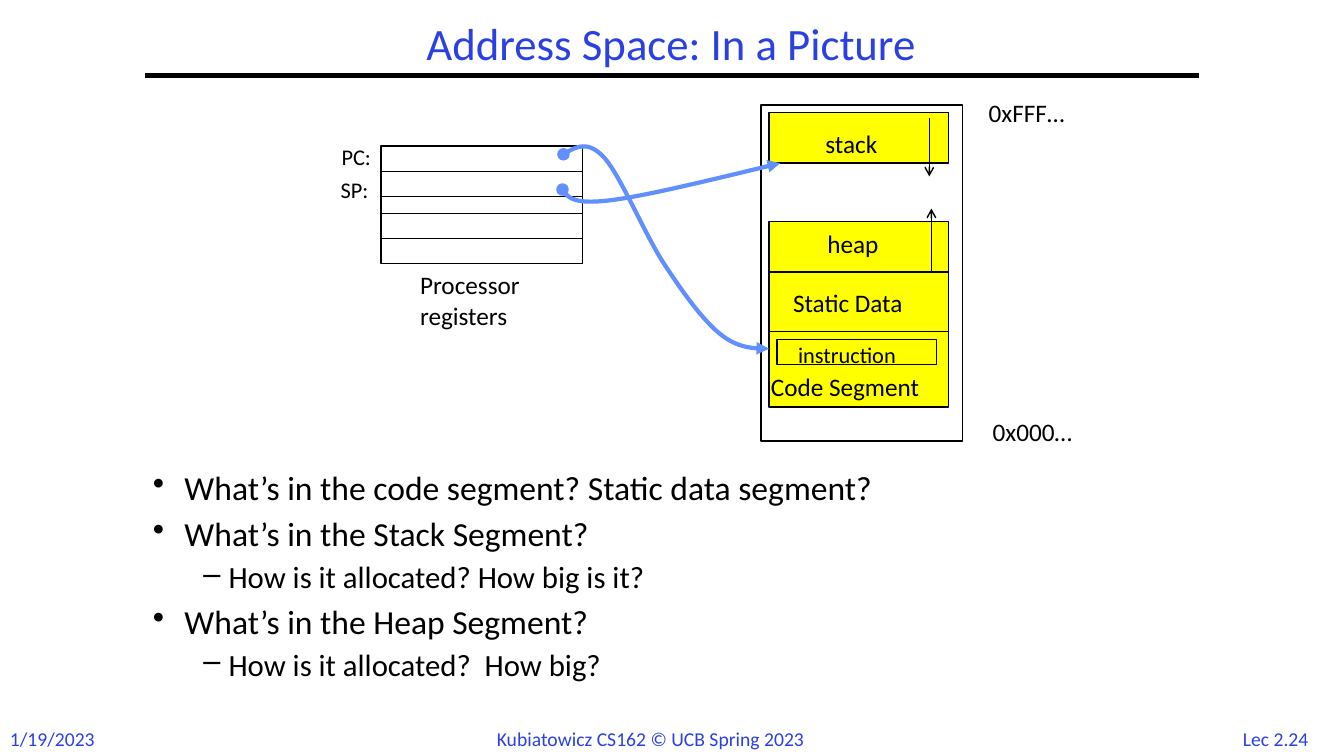
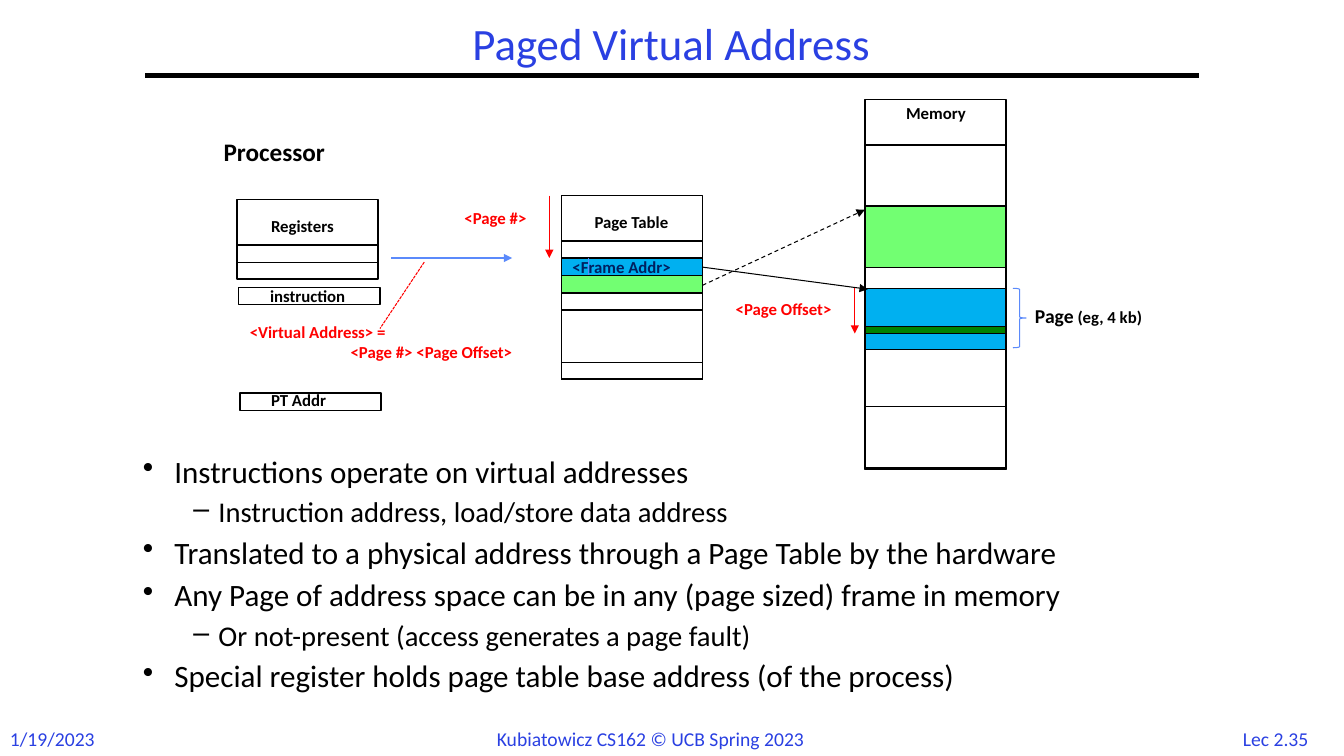
from dataclasses import dataclass

from pptx import Presentation
from pptx.dml.color import RGBColor
from pptx.enum.dml import MSO_LINE
from pptx.enum.shapes import MSO_CONNECTOR, MSO_SHAPE
from pptx.enum.text import MSO_ANCHOR, PP_ALIGN
from pptx.oxml.ns import qn
from pptx.util import Pt
from lxml.etree import SubElement


@dataclass(frozen=True)
class Theme:
    font: str = "Calibri"
    ink: str = "000000"
    heading: str = "2A40E2"
    segment: str = "FFFF00"
    pointer: str = "618FFD"
    guide: str = "5B8AFB"
    accent: str = "FF0000"
    frame_blue: str = "00B0F0"
    frame_green: str = "72FF72"
    word_green: str = "008200"
    navy: str = "002060"
    title_size: float = 32
    footer_size: float = 14
    label_size: float = 18
    small_size: float = 16
    page_size: float = 14
    tiny_size: float = 12
    outline: float = 1
    thin: float = 0.75
    thick: float = 3


THEME = Theme()
CURVE_STEPS = 16


def bezier(start, control_a, control_b, end):
    """Return points along a cubic curve, leaving out its start."""
    points = []
    for step in range(1, CURVE_STEPS + 1):
        t = step / CURVE_STEPS
        weights = ((1 - t) ** 3, 3 * t * (1 - t) ** 2, 3 * t * t * (1 - t), t ** 3)
        corners = (start, control_a, control_b, end)
        points.append(tuple(Pt(sum(w * c[axis] for w, c in zip(weights, corners)))
                            for axis in (0, 1)))
    return points


class Lecture:
    def __init__(self, theme):
        self.theme = theme
        self.deck = Presentation()
        self.deck.slide_width, self.deck.slide_height = Pt(960), Pt(540)
        self.shapes = None

    def new_slide(self, title, number):
        theme = self.theme
        blank = self.deck.slide_layouts[6]
        self.shapes = self.deck.slides.add_slide(blank).shapes
        for x, width, text, align in (
                (876.2, 70, number, PP_ALIGN.CENTER),
                (0, 84, "1/19/2023", PP_ALIGN.LEFT),
                (347.8, 265, "Kubiatowicz CS162 © UCB Spring 2023", PP_ALIGN.LEFT)):
            footer = self.label(x, 515.5, width, text, theme.footer_size, theme.heading)
            footer.alignment = align
        self.line((103.7, 54), (856.1, 54), theme.ink, theme.thick)
        frame = self.text_frame(103.7, 12.2, 751.7, 41.8)
        frame.vertical_anchor = MSO_ANCHOR.MIDDLE
        heading = frame.paragraphs[0]
        heading.alignment = PP_ALIGN.CENTER
        heading.line_spacing = 0.9
        self.put_run(heading, title, theme.title_size, theme.heading)

    def text_frame(self, x, y, width, height):
        frame = self.shapes.add_textbox(Pt(x), Pt(y), Pt(width), Pt(height)).text_frame
        frame.word_wrap = True
        return frame

    def put_run(self, paragraph, text, size, color, bold=False):
        run = paragraph.add_run()
        run.text = text
        run.font.name = self.theme.font
        run.font.size = Pt(size)
        run.font.bold = bold
        run.font.color.rgb = RGBColor.from_string(color)

    def label(self, x, y, width, text, size, color=THEME.ink, bold=False):
        """Add one line of text and return its paragraph."""
        frame = self.text_frame(x, y, width, size * 1.22 + 7.2)
        self.put_run(frame.paragraphs[0], text, size, color, bold)
        return frame.paragraphs[0]

    def tag(self, x, y, width, text, color=THEME.ink):
        """Add a small bold label."""
        return self.label(x, y, width, text, self.theme.tiny_size, color, bold=True)

    def bullets(self, x, y, width, height, sizes, items):
        """Add (level, text) items; sizes holds one type size per level."""
        frame = self.text_frame(x, y, width, height)
        for index, (level, text) in enumerate(items):
            paragraph = frame.paragraphs[0] if index == 0 else frame.add_paragraph()
            margin, hang, mark = ((22.5, 22.5, "•"), (54, 18, "–"))[level]
            properties = paragraph._p.get_or_add_pPr()
            properties.set("marL", str(Pt(margin)))
            properties.set("indent", str(-Pt(hang)))
            SubElement(properties, qn("a:buChar")).set("char", mark)
            paragraph.level = level
            paragraph.line_spacing = 0.9
            paragraph.space_before = Pt(round(0.28 * sizes[level], 1) if index else 0)
            self.put_run(paragraph, text, sizes[level], self.theme.ink)

    def box(self, x, y, width, height, fill=None):
        return self.preset(MSO_SHAPE.RECTANGLE, x, y, width, height,
                           self.theme.ink, self.theme.outline, fill)

    def preset(self, kind, x, y, width, height, color, weight, fill=None):
        shape = self.shapes.add_shape(kind, Pt(x), Pt(y), Pt(width), Pt(height))
        self.style_shape(shape, color, weight, fill)
        return shape

    def style_shape(self, shape, color, weight, fill=None):
        shape.shadow.inherit = False
        if fill:
            shape.fill.solid()
            shape.fill.fore_color.rgb = RGBColor.from_string(fill)
        else:
            shape.fill.background()
        self.stroke(shape, color, weight)

    def stroke(self, shape, color, weight, dash=None, head=None, tail=None):
        shape.line.color.rgb = RGBColor.from_string(color)
        shape.line.width = Pt(weight)
        if dash:
            shape.line.dash_style = dash
        for end, kind in (("a:headEnd", head), ("a:tailEnd", tail)):
            if kind:
                SubElement(shape.get_or_add_ln(), qn(end)).set("type", kind)

    def line(self, start, end, color, weight, dash=None, tail=None):
        connector = self.shapes.add_connector(
            MSO_CONNECTOR.STRAIGHT, *(Pt(value) for value in (*start, *end)))
        self.stroke(connector, color, weight, dash, tail=tail)
        SubElement(connector._element.spPr, qn("a:effectLst"))

    def pointer(self, start, *curves):
        """Draw a dotted-start arrow through cubic curves."""
        builder = self.shapes.build_freeform(Pt(start[0]), Pt(start[1]), scale=1.0)
        for curve in curves:
            builder.add_line_segments(bezier(start, *curve), close=False)
            start = curve[-1]
        arrow = builder.convert_to_shape()
        self.style_shape(arrow, self.theme.pointer, self.theme.thick)
        self.stroke(arrow, self.theme.pointer, self.theme.thick,
                    head="oval", tail="triangle")


def address_space(lecture):
    theme = lecture.theme
    lecture.new_slide("Address Space: In a Picture", "Lec 2.24")

    for y, height in ((104.4, 84), (122.4, 18), (152.6, 18)):
        lecture.box(272.2, y, 144, height)
    for x, y, register in ((236.9, 98.6, "PC:"), (236.2, 122.4, "SP:")):
        lecture.label(x, y, 42, register, theme.small_size)
    for row, word in enumerate(("Processor", "registers")):
        lecture.label(293, 188.6 + 22 * row, 96, word, theme.label_size)

    lecture.box(543.6, 75, 144, 240)
    segment_x, segment_width = 549.4, 128.2
    lecture.box(segment_x, 80.6, segment_width, 36, theme.segment)
    top = 158.4
    for height in (36, 42.2, 54):
        lecture.box(segment_x, top, segment_width, height, theme.segment)
        top += height
    lecture.box(555.1, 242.6, 113.8, 18)
    for x, y, width, text in ((582.5, 87.8, 57, "stack"),
                              (583.9, 159.8, 55, "heap"),
                              (559.4, 201.6, 104, "Static Data"),
                              (543.6, 261.4, 135, "Code Segment"),
                              (699.1, 66.2, 85, "0xFFF…"),
                              (702, 293.8, 82, "0x000…")):
        lecture.label(x, y, width, text, theme.label_size)
    lecture.label(563, 239.8, 96, "instruction", theme.small_size)
    for x, start, end in ((665.3, 194.4, 149), (663.8, 84.2, 126)):
        lecture.line((x, start), (x, end), theme.ink, theme.outline, tail="arrow")

    lecture.pointer((402.5, 110.2),
                    ((411.1, 105.1), (419.8, 99.4), (432, 113)),
                    ((443.5, 126), (460.8, 167.8), (474.5, 188.6)),
                    ((488.2, 209.5), (501.8, 228.2), (514.1, 238.3)),
                    ((526.3, 248.4), (537.8, 249.1), (549.4, 249.1)))
    lecture.pointer((401.8, 135.4),
                    ((405.4, 140.4), (408.2, 146.2), (434.2, 143.3)),
                    ((460.1, 140.4), (509, 128.2), (557.3, 116.6)))

    lecture.bullets(102.2, 333.4, 721.4, 188.6, (24, 22), (
        (0, "What’s in the code segment? Static data segment?"),
        (0, "What’s in the Stack Segment?"),
        (1, "How is it allocated? How big is it?"),
        (0, "What’s in the Heap Segment?"),
        (1, "How is it allocated?  How big?")))


def paged_address(lecture):
    theme = lecture.theme
    lecture.new_slide("Paged Virtual Address", "Lec 2.35")
    lecture.bullets(95, 322.6, 751, 196.6, (22.2, 20.4), (
        (0, "Instructions operate on virtual addresses"),
        (1, "Instruction address, load/store data address"),
        (0, "Translated to a physical address through a Page Table by the hardware"),
        (0, "Any Page of address space can be in any (page sized) frame in memory"),
        (1, "Or not-present (access generates a page fault)"),
        (0, "Special register holds page table base address (of the process)")))

    column, row = 100.8, 12.4
    lecture.label(152.6, 93.6, 104, "Processor", theme.label_size, bold=True)
    for x, y, height in ((169.2, 142.6, 56.6), (169.2, 175, row),
                         (170.6, 205.2, row), (171.4, 280.8, row)):
        lecture.box(x, y, column, height)

    table_x, first_entry = 401, 172
    lecture.box(table_x, 139.7, column, 131)
    for slot, fill in ((0, None), (1, theme.frame_blue), (2, theme.frame_green),
                       (3, None), (7, None)):
        lecture.box(table_x, first_entry + slot * row, column, row, fill)

    memory_x, frame_height = 617.8, 44
    lecture.box(memory_x, 71.3, column, 264.2)
    for y, fill in ((103.5, None), (205.9, theme.frame_blue), (290.2, None),
                    (147.2, theme.frame_green)):
        lecture.box(memory_x, y, column, frame_height, fill)
    lecture.box(memory_x, 233.3, column, 5, theme.word_green)
    lecture.preset(MSO_SHAPE.RIGHT_BRACE, 723.6, 205.9, 9.4, 42.5,
                   theme.guide, theme.thin)

    for x, y, width, text, color in (
            (186.5, 150.5, 70, "Registers", theme.ink),
            (185.8, 200.9, 77, "instruction", theme.ink),
            (186.5, 275, 62, "PT Addr", theme.ink),
            (417.6, 147.6, 78, "Page Table", theme.ink),
            (640.1, 69.8, 62, "Memory", theme.ink),
            (171.4, 226.1, 130, "<Virtual Address> =", theme.accent),
            (243.4, 240.7, 150, "<Page #> <Page Offset>", theme.accent),
            (324.7, 144.7, 72, "<Page #>", theme.accent),
            (401.8, 180, 99, "<Frame Addr>", theme.navy),
            (518.4, 209.5, 99, "<Page Offset>", theme.accent)):
        lecture.tag(x, y, width, text, color)
    page = lecture.label(732.2, 213.8, 106, "Page", theme.page_size, bold=True)
    lecture.put_run(page, " (eg, 4 kb)", theme.tiny_size, theme.ink, bold=True)

    for start, end, color, dash, tail in (
            ((279.4, 184.3), (365.8, 184.3), theme.guide, None, "triangle"),
            ((303.1, 187.2), (271.4, 234.7), theme.accent, MSO_LINE.SQUARE_DOT, None),
            ((392.4, 139.7), (392.4, 184.3), theme.accent, None, "triangle"),
            ((610.6, 205.9), (610.6, 238.3), theme.accent, None, "triangle"),
            ((501.8, 190.8), (619.9, 206.6), theme.ink, None, "triangle"),
            ((420.5, 184.3), (420.5, 196.6), theme.guide, None, None),
            ((501.8, 203.8), (617.8, 149.8), theme.ink, MSO_LINE.DASH, "triangle")):
        lecture.line(start, end, color, theme.thin, dash, tail)


def main():
    lecture = Lecture(THEME)
    address_space(lecture)
    paged_address(lecture)
    lecture.deck.save("out.pptx")


if __name__ == "__main__":
    main()
